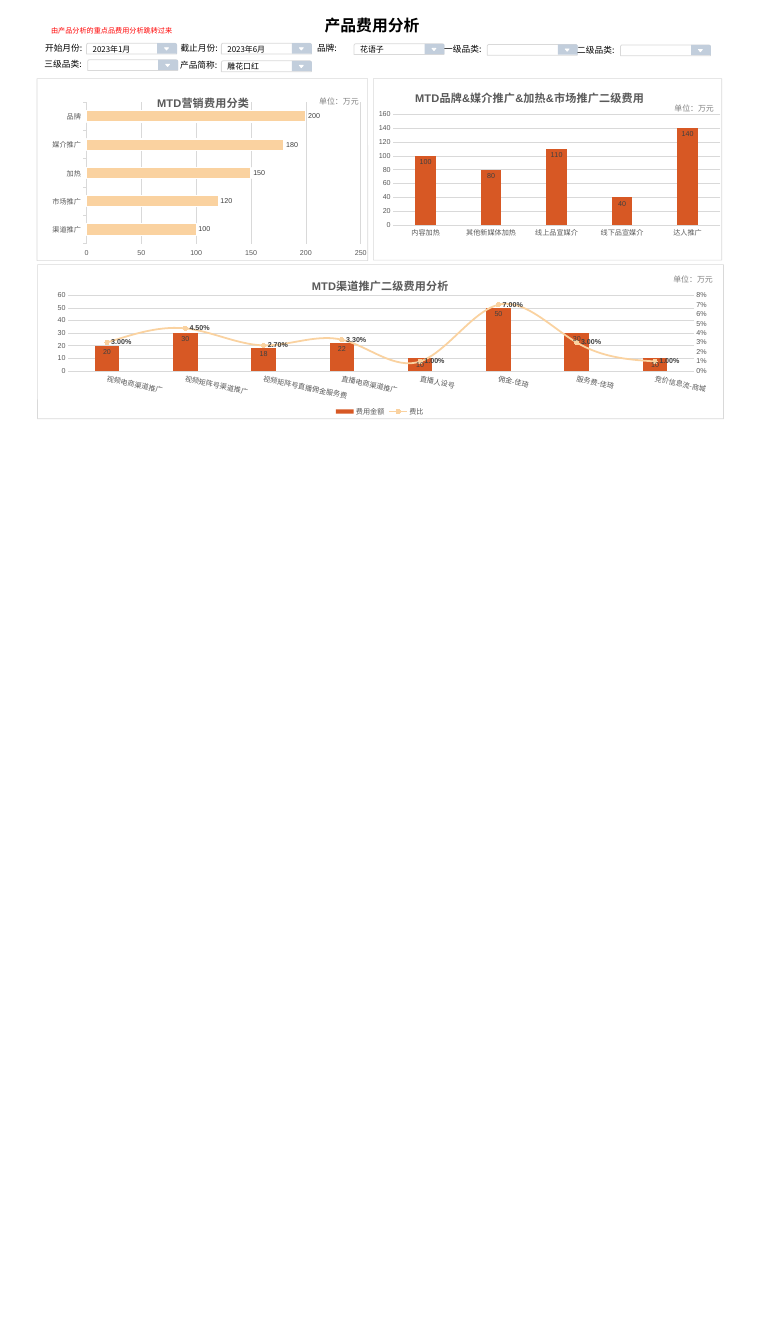
from dataclasses import dataclass

from pptx import Presentation
from pptx import util as u
from pptx.chart.axis import ValueAxis
from pptx.chart.data import CategoryChartData
from pptx.dml.color import RGBColor
from pptx.enum import chart as kinds, shapes, text
from pptx.oxml import parse_xml
from pptx.oxml.ns import nsdecls, qn

CJK, LATIN = "Noto Sans CJK SC", "Arial"
BLACK, WHITE, GREY, BORDER = "000000", "FFFFFF", "595959", "D9D9D9"
ORANGE, PEACH = "D75824", "FAD2A0"
SHAPE, LABEL, TICK = shapes.MSO_SHAPE, kinds.XL_LABEL_POSITION, kinds.XL_TICK_MARK


@dataclass
class Filter:
    label: str
    label_left: float
    left: float
    top: float
    value: str = ""


@dataclass
class Panel:
    title: str
    kind: kinds.XL_CHART_TYPE
    box: tuple[float, float, float, float]
    frame: tuple[float, float, float, float]
    unit_at: tuple[float, float]
    title_at: tuple[float, float]
    plot_at: tuple[float, float, float, float]
    categories: list[str]
    values: list[float]
    maximum: float
    step: float
    colour: str = ORANGE
    gap: int = 219
    overlap: int = -27
    tick: TICK = TICK.NONE
    label_spot: LABEL = LABEL.INSIDE_END
    name: str = "Series 1"
    ratios: tuple[float, ...] = ()


FILTERS = [
    Filter("开始月份:", 57, 109.5, 54.7, "2023年1月"),
    Filter("截止月份:", 228.4, 280, 54.7, "2023年6月"),
    Filter("品牌:", 401, 447.8, 55.4, "花语子"),
    Filter("一级品类:", 561.8, 616.3, 56.2),
    Filter("二级品类:", 730, 784.8, 56.9),
    Filter("三级品类:", 56.3, 110.9, 75.6),
    Filter("产品简称:", 227.8, 280, 77, "雕花口红"),
]
PANELS = [
    Panel("MTD营销费用分类", kinds.XL_CHART_TYPE.BAR_CLUSTERED,
          (48.2, 102.2, 416.9, 236.2), (46.8, 99.4, 418.3, 230.4), (396.7, 118.8),
          (0.355, 0.055), (0.147, 0.115, 0.832, 0.758),
          ["渠道推广", "市场推广", "加热", "媒介推广", "品牌"], [100, 120, 150, 180, 200],
          250, 50, PEACH, 150, 0, TICK.OUTSIDE, LABEL.OUTSIDE_END),
    Panel("MTD渠道推广二级费用分析", kinds.XL_CHART_TYPE.COLUMN_CLUSTERED,
          (46.8, 334.8, 866.9, 195.1), (47.5, 334.8, 867.6, 195.1), (844.6, 343.4),
          (0.398, 0.061), (0.045, 0.199, 0.914, 0.491),
          ["视频电商渠道推广", "视频矩阵号渠道推广", "视频矩阵号直播佣金服务费", "直播电商渠道推广",
           "直播人设号", "佣金-佳琦", "服务费-佳琦", "竞价信息流-商城"],
          [20, 30, 18, 22, 10, 50, 30, 10], 60, 10, name="费用金额",
          ratios=(0.03, 0.045, 0.027, 0.033, 0.01, 0.07, 0.03, 0.01)),
    Panel("MTD品牌&媒介推广&加热&市场推广二级费用", kinds.XL_CHART_TYPE.COLUMN_CLUSTERED,
          (472.3, 99.4, 440.6, 225.4), (472.3, 99.4, 440.6, 229.7), (846, 127.4),
          (0.114, 0.042), (0.056, 0.201, 0.94, 0.621),
          ["内容加热", "其他新媒体加热", "线上品宣媒介", "线下品宣媒介", "达人推广"],
          [100, 80, 110, 40, 140], 160, 20),
]


def rgb(colour: str) -> RGBColor:
    return RGBColor.from_string(colour)


def set_font(font, size: float, colour: str, name: str = LATIN, bold: bool = False) -> None:
    font.size, font.bold, font.name = u.Pt(size), bold, name
    font.color.rgb = rgb(colour)


def set_line(line, colour: str, width: float) -> None:
    line.color.rgb = rgb(colour)
    line.width = u.Pt(width)


def add_outline(parent, kind, box, fill: str = "", line: str = "", width: float = 1):
    shape = parent.add_shape(kind, *map(u.Pt, box))
    shape.shadow.inherit = False
    if fill:
        shape.fill.solid()
        shape.fill.fore_color.rgb = rgb(fill)
    else:
        shape.fill.background()
    if line:
        set_line(shape.line, line, width)
    else:
        shape.line.fill.background()
    return shape


def add_text(parent, words: str, box, size: float, colour: str, name: str = CJK,
             inset: float = 7.2) -> None:
    frame = parent.add_textbox(*map(u.Pt, box)).text_frame
    frame.margin_left = frame.margin_right = u.Pt(inset)
    frame.word_wrap = True
    para = frame.paragraphs[0]
    para.text = words
    set_font(para.font, size, colour, name)


def add_filter(page, item: Filter) -> None:
    group = page.shapes.add_group_shape().shapes
    left, top = item.left, item.top
    field = add_outline(group, SHAPE.ROUND_2_SAME_RECTANGLE, (left, top, 113.8, 13.7), WHITE, BORDER)
    if item.value:
        frame = field.text_frame
        frame.margin_top = frame.margin_bottom = 0
        frame.vertical_anchor = text.MSO_ANCHOR.MIDDLE
        para = frame.paragraphs[0]
        para.text, para.alignment = item.value, text.PP_ALIGN.LEFT
        set_font(para.font, 10, BLACK, CJK)
    add_outline(group, SHAPE.ROUND_1_RECTANGLE, (left + 89.2, top, 25.2, 13), "C2CEDC")
    arrow = add_outline(group, SHAPE.ISOSCELES_TRIANGLE, (left + 98.6, top + 5.7, 5, 2.9), WHITE, WHITE)
    arrow.rotation = 180
    add_text(group, item.label, (item.label_left, top - 4.3, 66, 20.2), 11, BLACK, inset=0)


def place(parent, index: int, spots: dict[str, float], inner: bool = False) -> None:
    for old in parent.findall(qn("c:layout")):
        parent.remove(old)
    target = '<c:layoutTarget val="inner"/>' if inner else ""
    modes = '<c:xMode val="edge"/><c:yMode val="edge"/>'
    sizes = "".join(f'<c:{key} val="{value}"/>' for key, value in spots.items())
    parent.insert(index, parse_xml(
        f'<c:layout {nsdecls("c")}><c:manualLayout>{target}{modes}{sizes}</c:manualLayout></c:layout>'))


def style_axis(axis, tick: TICK, line: bool = False) -> None:
    axis.major_tick_mark, axis.minor_tick_mark = tick, TICK.NONE
    set_font(axis.tick_labels.font, 9, GREY)
    if line:
        set_line(axis.format.line, BORDER, 0.75)
    else:
        axis.format.line.fill.background()


def style_values(axis, maximum: float, step: float, tick: TICK, number_format: str) -> None:
    style_axis(axis, tick)
    axis.minimum_scale, axis.maximum_scale, axis.major_unit = 0, maximum, step
    axis.tick_labels.number_format = number_format
    axis.tick_labels.number_format_is_linked = False


def show_labels(series, position: LABEL, number_format: str, bold: bool = False) -> None:
    labels = series.data_labels
    labels.show_value, labels.position = True, position
    labels.number_format, labels.number_format_is_linked = number_format, False
    set_font(labels.font, 9, "404040", bold=bold)


def add_ratio_line(chart, area) -> None:
    bars = area.find(qn("c:barChart"))
    ratio = bars.findall(qn("c:ser"))[1]
    for flag in ratio.findall(qn("c:invertIfNegative")):
        ratio.remove(flag)
    curve = parse_xml(
        f'<c:lineChart {nsdecls("c")}><c:grouping val="standard"/><c:varyColors val="0"/>'
        '<c:marker val="1"/><c:axId val="501"/><c:axId val="502"/></c:lineChart>')
    curve.insert(2, ratio)
    bars.addnext(curve)
    hidden, right = [parse_xml(
        f'<c:{tag} {nsdecls("c")}><c:axId val="{own}"/><c:scaling><c:orientation val="minMax"/></c:scaling>'
        f'<c:delete val="{deleted}"/><c:axPos val="{side}"/><c:tickLblPos val="nextTo"/>'
        f'<c:crossAx val="{other}"/><c:crosses val="{crosses}"/></c:{tag}>')
        for tag, own, other, deleted, side, crosses in (
            ("catAx", 501, 502, 1, "b", "autoZero"), ("valAx", 502, 501, 0, "r", "max"))]
    area.findall(qn("c:valAx"))[-1].addnext(hidden)
    hidden.addnext(right)
    style_values(ValueAxis(right), 0.08, 0.01, TICK.NONE, "0%")
    series = chart.plots[1].series[0]
    series.smooth = True
    set_line(series.format.line, PEACH, 2.25)
    series.marker.style, series.marker.size = kinds.XL_MARKER_STYLE.CIRCLE, 5
    series.marker.format.fill.solid()
    series.marker.format.fill.fore_color.rgb = rgb(PEACH)
    set_line(series.marker.format.line, PEACH, 0.75)
    show_labels(series, LABEL.RIGHT, "0.00%", bold=True)
    chart.category_axis._element.txPr.bodyPr.set("rot", "720000")
    chart.has_legend = True
    chart.legend.position = kinds.XL_LEGEND_POSITION.BOTTOM
    chart.legend.include_in_layout = False
    set_font(chart.legend.font, 9, GREY)


def add_panel(page, panel: Panel) -> None:
    data = CategoryChartData()
    data.categories = panel.categories
    data.add_series(panel.name, panel.values)
    if panel.ratios:
        data.add_series("费比", panel.ratios, "0.00%")
    chart = page.shapes.add_chart(panel.kind, *map(u.Pt, panel.box), data).chart
    set_font(chart.font, 10, BLACK)
    chart.has_legend, chart.has_title = False, True
    para = chart.chart_title.text_frame.paragraphs[0]
    para.text = panel.title
    set_font(para.font, 14, GREY, bold=True)
    place(chart.chart_title._element, 1, dict(zip("xy", panel.title_at)))
    area = chart._chartSpace.xpath("c:chart/c:plotArea")[0]
    place(area, 0, dict(zip("xywh", panel.plot_at)), inner=True)
    style_axis(chart.category_axis, panel.tick, line=True)
    style_values(chart.value_axis, panel.maximum, panel.step, panel.tick, "General")
    chart.value_axis.has_major_gridlines = True
    set_line(chart.value_axis.major_gridlines.format.line, BORDER, 0.75)
    plot = chart.plots[0]
    plot.gap_width, plot.overlap, plot.vary_by_categories = panel.gap, panel.overlap, False
    bars = plot.series[0]
    bars.format.fill.solid()
    bars.format.fill.fore_color.rgb = rgb(panel.colour)
    if panel.colour == PEACH:
        set_line(bars.format.line, WHITE, 1.5)
    show_labels(bars, panel.label_spot, "General")
    if panel.ratios:
        add_ratio_line(chart, area)
    frame = add_outline(page.shapes, SHAPE.ROUNDED_RECTANGLE, panel.frame, line=BORDER, width=0.75)
    frame.adjustments[0] = 0.001
    add_text(page.shapes, "单位：万元", (*panel.unit_at, 68.4, 19.4), 10, "808080")


def main() -> None:
    deck = Presentation()
    deck.slide_width, deck.slide_height = u.Pt(960), u.Pt(1700.64)
    page = deck.slides.add_slide(deck.slide_layouts[5])
    title = page.shapes.title
    title.left, title.top, title.width, title.height = map(u.Pt, (314, 15.8, 313.2, 31.7))
    frame = title.text_frame
    frame.auto_size, frame.vertical_anchor = text.MSO_AUTO_SIZE.NONE, text.MSO_ANCHOR.MIDDLE
    para = frame.paragraphs[0]
    para.text, para.alignment = "产品费用分析", text.PP_ALIGN.CENTER
    set_font(para.font, 20, BLACK, CJK, bold=True)
    for item in FILTERS:
        add_filter(page, item)
    for panel in PANELS:
        add_panel(page, panel)
    add_text(page.shapes, "由产品分析的重点品费用分析跳转过来", (57.6, 30.2, 182.2, 20.2), 9, "FF0000", LATIN)
    deck.save("out.pptx")


if __name__ == "__main__":
    main()
